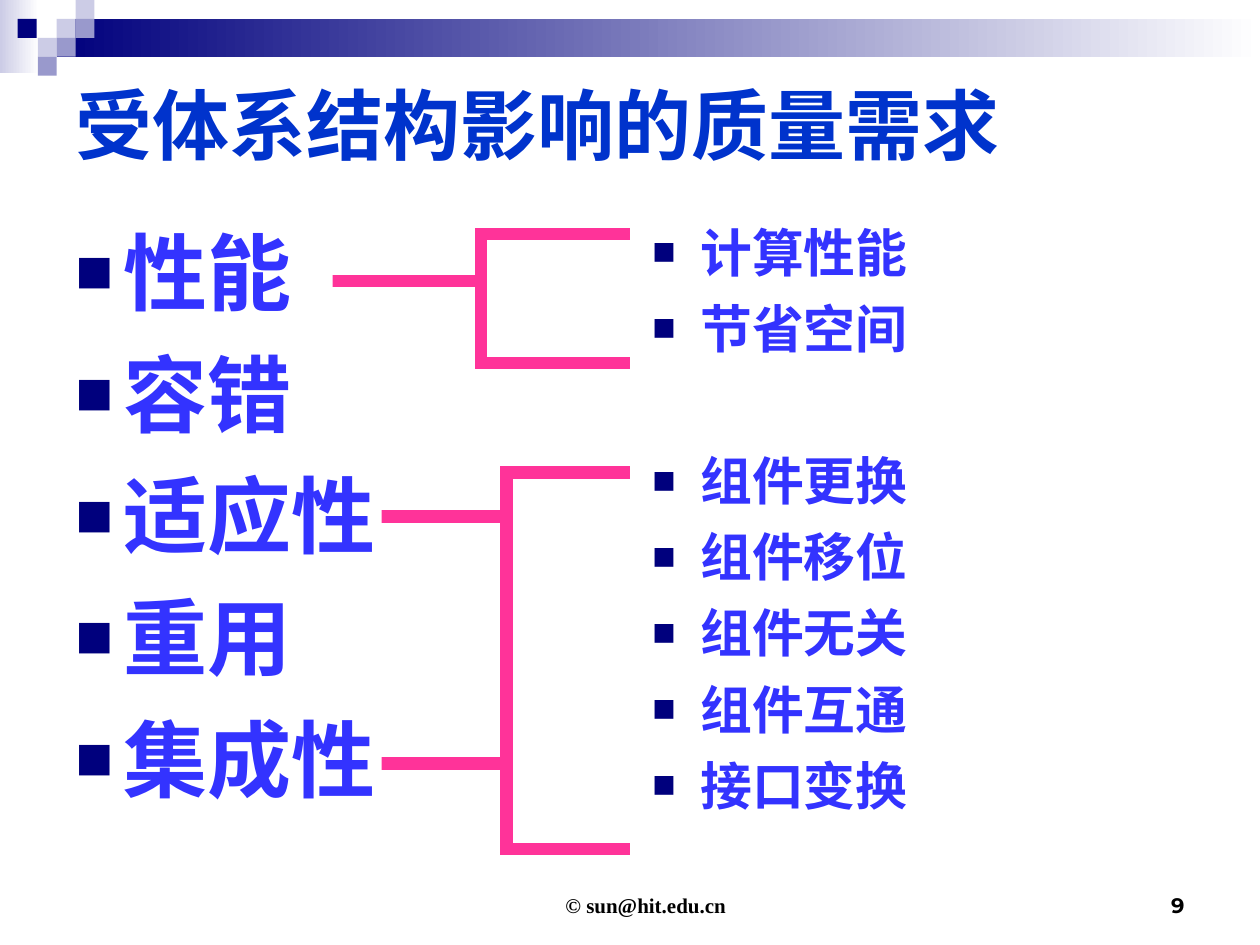
from lxml.etree import SubElement
from pptx import Presentation
from pptx.dml.color import RGBColor
from pptx.enum.shapes import MSO_SHAPE
from pptx.enum.text import MSO_ANCHOR, PP_ALIGN
from pptx.oxml.ns import qn
from pptx.util import Pt

PX = 9144  # 100 px to the inch
WHITE = RGBColor(0xFF, 0xFF, 0xFF)
BLACK = RGBColor(0x00, 0x00, 0x00)
NAVY = RGBColor(0x00, 0x00, 0x7D)
LILAC = RGBColor(0xCC, 0xCC, 0xE6)
MAUVE = RGBColor(0x99, 0x99, 0xCC)
TITLE_BLUE = RGBColor(0x00, 0x33, 0xCC)
TEXT_BLUE = RGBColor(0x33, 0x33, 0xFF)
PINK = RGBColor(0xFF, 0x33, 0x99)

prs = Presentation()
prs.slide_width, prs.slide_height = 1000 * PX, 750 * PX
s = prs.slides.add_slide(prs.slide_layouts[5])


def add_text(text, box, size, color, font="Arial", align=PP_ALIGN.LEFT,
             anchor=MSO_ANCHOR.TOP, sp=None, bullet=False, before=0, gap_before=None, indent=0):
    """Write one paragraph per line; an empty line widens the gap to gap_before."""
    x, y, w, h = (v * PX for v in box)
    if sp is None:
        sp = s.shapes.add_textbox(x, y, w, h)
    sp.left, sp.top, sp.width, sp.height = x, y, w, h
    tf = sp.text_frame
    tf.word_wrap = True
    tf.vertical_anchor = anchor
    space = 0
    p = tf.paragraphs[0]
    for i, line in enumerate(text.split("\n")):
        if not line:
            space = gap_before
            continue
        if i:
            p = tf.add_paragraph()
        pPr = p._p.get_or_add_pPr()
        if bullet:
            pPr.set("marL", str(38 * PX))
            pPr.set("indent", str(-38 * PX))
            clr = SubElement(pPr, qn("a:buClr"))
            SubElement(clr, qn("a:srgbClr"), val=str(NAVY))
            SubElement(pPr, qn("a:buSzPct"), val="75000")
            SubElement(pPr, qn("a:buFont"), typeface="Arial")
            SubElement(pPr, qn("a:buChar"), char="■")
        elif indent:
            pPr.set("marL", str(indent * PX))
            pPr.set("indent", "0")
        p.alignment = align
        if space:
            p.space_before = Pt(space)
        space = before
        r = p.add_run()
        r.text = line
        r.font.name, r.font.size, r.font.bold = font, Pt(size), True
        r.font.color.rgb = color


# Header bands and the small squares beside them
for box, fill in [
    ((0, 0, 31, 58), (WHITE, LILAC)),
    ((45, 15, 955, 30), (WHITE, NAVY)),
    ((45, 15, 15, 15), LILAC),
    ((60, 0, 15, 15), LILAC),
    ((60, 15, 15, 15), MAUVE),
    ((30, 30, 15, 15), LILAC),
    ((14, 15, 15, 15), NAVY),
    ((45, 30, 15, 15), MAUVE),
    ((30, 45, 15, 15), MAUVE),
]:
    sp = s.shapes.add_shape(MSO_SHAPE.RECTANGLE, *(v * PX for v in box))
    sp.shadow.inherit = False
    sp.line.fill.background()
    if isinstance(fill, RGBColor):
        sp.fill.solid()
        sp.fill.fore_color.rgb = fill
    else:
        sp.fill.gradient()
        sp.fill.gradient_angle = 180
        for stop, color, position in zip(sp.fill.gradient_stops, fill, (0, 1)):
            stop.color.rgb = color
            stop.position = position

# Title
add_text("受体系结构影响的质量需求", (50, 50, 900, 97), 44, TITLE_BLUE,
         anchor=MSO_ANCHOR.MIDDLE, sp=s.shapes.title)

# Quality attributes and what each one covers
add_text("性能\n容错\n适应性\n重用\n集成性", (50, 170, 442, 504), 48, TEXT_BLUE,
         bullet=True, before=12)
add_text("计算性能\n节省空间\n\n组件更换\n组件移位\n组件无关\n组件互通\n接口变换",
         (508, 170, 442, 504), 29.6, TEXT_BLUE, bullet=True, before=8, gap_before=51.5)

# Brackets: a spine with two arms to the right and a stem to the left
for left, spine, top, stem, bottom in [
    (264, 382, 186, 223, 288),
    (303, 402, 375, 410, 674),
    (303, 402, 375, 606, 674),
]:
    fb = s.shapes.build_freeform(500, top, scale=PX)
    fb.add_line_segments([(spine, top), (spine, stem), (left, stem), (spine, stem),
                          (spine, bottom), (500, bottom)], close=False)
    sp = fb.convert_to_shape()
    sp.shadow.inherit = False
    sp.fill.background()
    sp.line.color.rgb = PINK
    sp.line.width = Pt(7)
    SubElement(sp.line._get_or_add_ln(), qn("a:miter"), lim="800000")

# Footer
add_text("© sun@hit.edu.cn", (342, 683, 317, 50), 12, BLACK, font="Times New Roman",
         align=PP_ALIGN.CENTER, anchor=MSO_ANCHOR.BOTTOM, indent=24)
add_text("9", (717, 683, 233, 50), 12, BLACK, font="Montserrat",
         align=PP_ALIGN.RIGHT, anchor=MSO_ANCHOR.BOTTOM)

prs.save("out.pptx")
